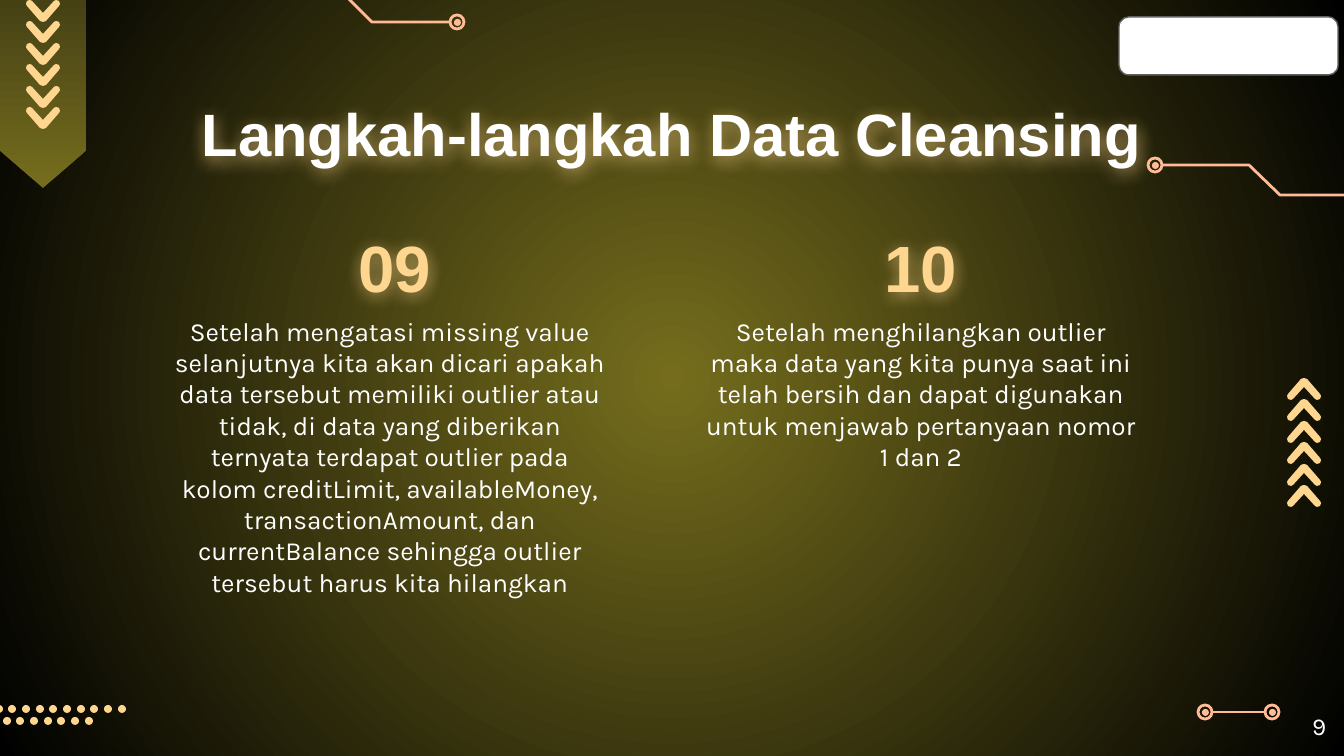
from dataclasses import dataclass

from lxml import etree
from pptx import Presentation
from pptx.dml.color import RGBColor
from pptx.enum import shapes, text
from pptx.oxml import ns
from pptx import util as u

EMU_PER_PX = 9144000 / 1344
CHEVRON = [(-17, 4), (-16, 1), (-13, 0), (-11, 1), (0, 13), (11, 1), (13, 0),
           (16, 1), (17, 4), (16, 6), (3, 21), (0, 22), (-3, 21), (-16, 6)]
CHEVRON_HEIGHT = 22
STEPS = [
    ("09", 233, 161,
     "Setelah mengatasi missing value selanjutnya kita akan dicari apakah data "
     "tersebut memiliki outlier atau tidak, di data yang diberikan ternyata terdapat "
     "outlier pada kolom creditLimit, availableMoney, transactionAmount, dan "
     "currentBalance sehingga outlier tersebut harus kita hilangkan"),
    ("10", 759, 692,
     "Setelah menghilangkan outlier maka data yang kita punya saat ini telah bersih "
     "dan dapat digunakan untuk menjawab pertanyaan nomor 1 dan 2"),
]


@dataclass(frozen=True)
class Theme:
    """Colours, fonts and type sizes of the slide."""

    olive: str = "756D1D"
    dark_olive: str = "464115"
    black: str = "000000"
    white: str = "FFFFFF"
    gray: str = "606060"
    sand: str = "FFD68F"
    peach: str = "FFBB95"
    heading_font: str = "Arial"
    body_font: str = "Karla"
    title_size: int = 32
    number_size: int = 35
    body_size: int = 14
    page_size: int = 13
    trace_width: float = 1.5
    frame_width: float = 0.75


THEME = Theme()


def px(length):
    """Turn pixels into EMU."""
    return u.Emu(round(length * EMU_PER_PX))


def color(value):
    """Turn a hex value into a colour."""
    return RGBColor.from_string(value)


def set_gradient(fill, start, end):
    """Give a fill a gradient of two colours."""
    fill.gradient()
    for stop, value, position in zip(fill.gradient_stops, (start, end), (0, 1)):
        stop.color.rgb = color(value)
        stop.position = position


def style(shape, fill=None, line=None, line_width=THEME.trace_width):
    """Set the fill and line of a shape and remove its shadow."""
    shape.shadow.inherit = False
    if fill:
        shape.fill.solid()
        shape.fill.fore_color.rgb = color(fill)
    else:
        shape.fill.background()
    if line:
        shape.line.color.rgb = color(line)
        shape.line.width = u.Pt(line_width)
    else:
        shape.line.fill.background()


def add_preset(slide, kind, left, top, width, height, **look):
    """Add a styled preset shape."""
    shape = slide.shapes.add_shape(kind, px(left), px(top), px(width), px(height))
    style(shape, **look)
    return shape


def add_outline(slide, points, close, **look):
    """Add a styled freeform through the points."""
    builder = slide.shapes.build_freeform(*points[0], scale=EMU_PER_PX)
    builder.add_line_segments(points[1:], close=close)
    style(builder.convert_to_shape(), **look)


def add_glow(shape):
    """Put a soft halo around the text of a shape."""
    effects = etree.SubElement(shape._element.spPr, ns.qn("a:effectLst"))
    shadow = etree.SubElement(effects, ns.qn("a:outerShdw"), blurRad="114300",
                              dist="19050", dir="5400000", algn="bl", rotWithShape="0")
    tint = etree.SubElement(shadow, ns.qn("a:srgbClr"), val=THEME.sand)
    etree.SubElement(tint, ns.qn("a:alpha"), val="60000")


def add_text(slide, content, left, top, width, height, size, value, font,
             bold=False, align=text.PP_ALIGN.CENTER, anchor=text.MSO_ANCHOR.TOP):
    """Add a text box with one paragraph."""
    shape = slide.shapes.add_textbox(px(left), px(top), px(width), px(height))
    frame = shape.text_frame
    frame.text = content
    frame.word_wrap = True
    frame.vertical_anchor = anchor
    frame.margin_left = frame.margin_right = px(13)
    frame.margin_top = frame.margin_bottom = px(13)
    paragraph = frame.paragraphs[0]
    paragraph.alignment = align
    run_font = paragraph.runs[0].font
    run_font.name = font
    run_font.size = u.Pt(size)
    run_font.bold = bold
    run_font.color.rgb = color(value)
    return shape


def add_heading(slide, content, left, top, width, height, size, value):
    """Add a bold, glowing, centred heading."""
    add_glow(add_text(slide, content, left, top, width, height, size, value,
                      THEME.heading_font, bold=True, anchor=text.MSO_ANCHOR.MIDDLE))


def add_chevrons(slide, center, top, upward=False):
    """Stack six chevrons below one another."""
    for index in range(6):
        row = top + index * 43 // 2
        points = [(center + x, row + (CHEVRON_HEIGHT - y if upward else y))
                  for x, y in CHEVRON]
        add_outline(slide, points, True, fill=THEME.sand)


def add_dots(slide, left, top, count):
    """Add a row of evenly spaced dots."""
    for index in range(count):
        add_preset(slide, shapes.MSO_SHAPE.OVAL, left + index * 41 // 3, top, 8, 8,
                   fill=THEME.sand)


def add_node(slide, x, y):
    """Add a ring with a dot in its middle."""
    oval = shapes.MSO_SHAPE.OVAL
    add_preset(slide, oval, x - 7, y - 7, 14, 14, line=THEME.peach)
    add_preset(slide, oval, x - 3, y - 3, 7, 7, fill=THEME.peach)


def add_link(slide, start, end, y):
    """Add a level line between two nodes."""
    link = slide.shapes.add_connector(shapes.MSO_CONNECTOR.STRAIGHT,
                                      px(start + 7), px(y), px(end - 7), px(y))
    link.line.color.rgb = color(THEME.peach)
    link.line.width = u.Pt(THEME.trace_width)
    etree.SubElement(link._element.spPr, ns.qn("a:effectLst"))
    for x in (start, end):
        add_node(slide, x, y)


def paint_background(slide):
    """Fill the background with a circular gradient."""
    set_gradient(slide.background.fill, THEME.olive, THEME.black)
    gradient = slide.element.find(".//" + ns.qn("a:gradFill"))
    gradient.remove(gradient.find(ns.qn("a:lin")))
    circle = etree.SubElement(gradient, ns.qn("a:path"), path="circle")
    etree.SubElement(circle, ns.qn("a:fillToRect"),
                     l="50000", t="50000", r="50000", b="50000")


def main():
    """Build the slide and save it."""
    presentation = Presentation()
    presentation.slide_width, presentation.slide_height = px(1344), px(756)
    slide = presentation.slides.add_slide(presentation.slide_layouts[6])
    paint_background(slide)

    add_preset(slide, shapes.MSO_SHAPE.ROUNDED_RECTANGLE, 1119, 17, 219, 58,
               fill=THEME.white, line=THEME.gray, line_width=THEME.frame_width)
    add_link(slide, 1205, 1272, 712)
    ribbon = add_preset(slide, shapes.MSO_SHAPE.FLOWCHART_OFFPAGE_CONNECTOR, 0, 0, 86, 188)
    set_gradient(ribbon.fill, THEME.olive, THEME.dark_olive)
    ribbon.fill.gradient_angle = 90
    add_chevrons(slide, 43, 0)
    add_dots(slide, 3, 717, 7)
    add_dots(slide, -5, 705, 10)
    add_chevrons(slide, 1304, 378, upward=True)
    for trace, node in (
        ([(254, -9), (341, -9), (372, 22), (450, 22)], (457, 22)),
        ([(1162, 165), (1249, 165), (1280, 195), (1359, 195)], (1155, 165)),
    ):
        add_outline(slide, trace, False, line=THEME.peach)
        add_node(slide, *node)

    add_heading(slide, "Langkah-langkah Data Cleansing", 105, 90, 1134, 85,
                THEME.title_size, THEME.white)
    for number, number_left, body_left, body in STEPS:
        add_heading(slide, number, number_left, 231, 324, 71,
                    THEME.number_size, THEME.sand)
        add_text(slide, body, body_left, 302, 458, 159,
                 THEME.body_size, THEME.white, THEME.body_font)
    add_text(slide, "9", 1258, 698, 81, 58, THEME.page_size, THEME.white,
             THEME.body_font, align=text.PP_ALIGN.RIGHT)
    presentation.save("out.pptx")


if __name__ == "__main__":
    main()
